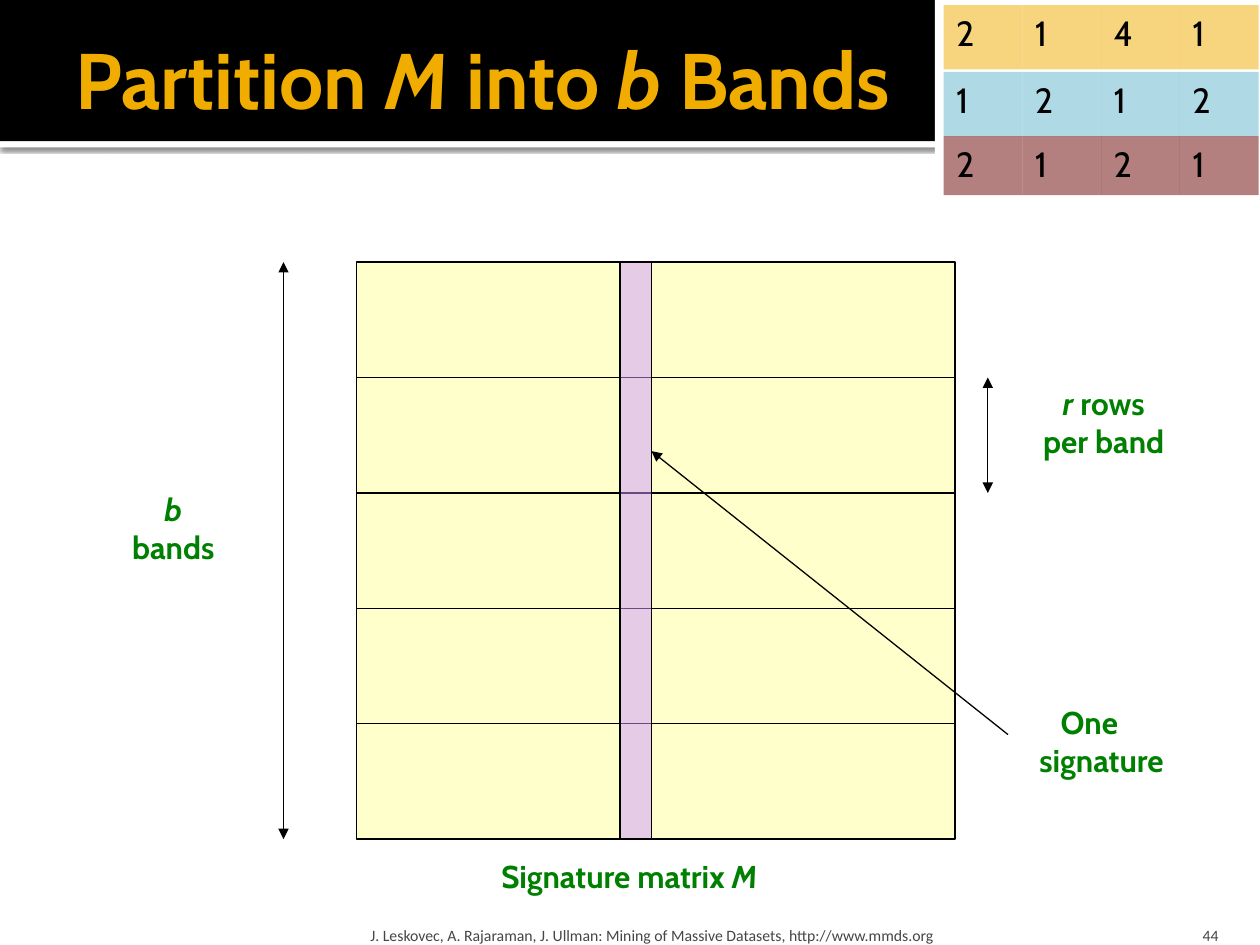
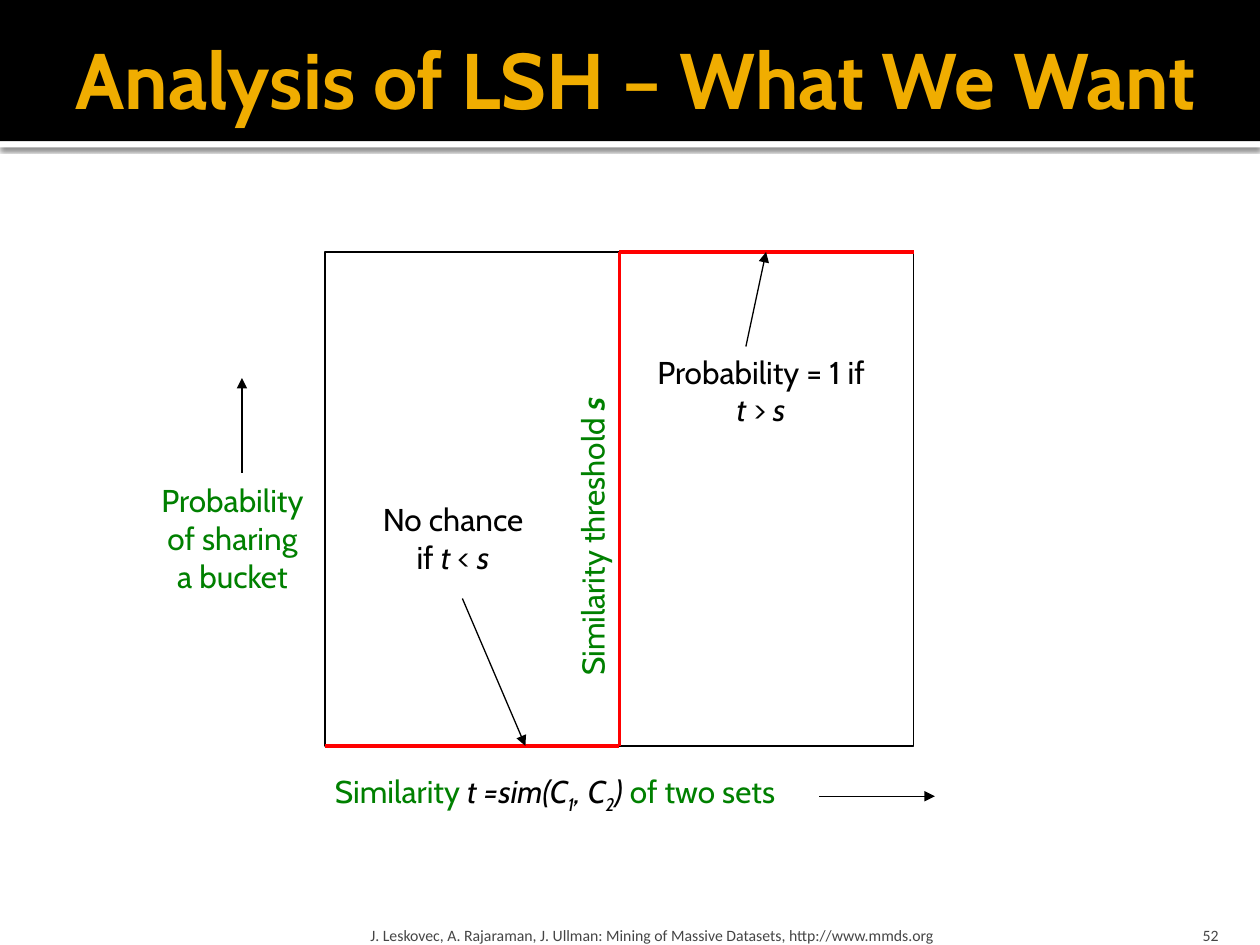
from pptx import Presentation
from pptx.dml.color import RGBColor
from pptx.enum.shapes import MSO_CONNECTOR, MSO_SHAPE
from pptx.enum.text import MSO_ANCHOR, MSO_AUTO_SIZE, PP_ALIGN
from pptx.oxml import parse_xml
from pptx.oxml.ns import nsdecls
from pptx.oxml.xmlchemy import OxmlElement
from pptx.util import Inches, Pt

COLORS = {
    "black": "000000", "white": "FFFFFF", "gold": "F0AD00",
    "green": "008000", "gray": "454545", "red": "FF0000",
    "yellow": "FFFF99", "purple": "CC99FF", "blue": "60B5CC",
    "maroon": "680000",
}
FONT = "Cabin"
CREDIT = ("J. Leskovec, A. Rajaraman, J. Ullman: "
          "Mining of Massive Datasets, http://www.mmds.org")
SHADOW = """<a:effectLst %s><a:outerShdw blurRad="31750" dist="10160" dir="5400000"
 algn="tl" rotWithShape="0"><a:srgbClr val="000000"><a:alpha val="60000"/></a:srgbClr>
</a:outerShdw></a:effectLst>""" % nsdecls("a")
ITALIC = {"italic": True}
LOWER = {"italic": True, "color": "black", "base": -25}


def rgb(name):
    return RGBColor.from_string(COLORS[name])


def inches(box):
    return [Inches(value) for value in box]


def write_run(para, text, size=18, color="black", font=FONT,
              bold=False, italic=False, base=0):
    run = para.add_run()
    run.text = text
    run.font.name, run.font.size = font, Pt(size)
    run.font.bold, run.font.italic = bold, italic
    run.font.color.rgb = rgb(color)
    if base:
        run._r.get_or_add_rPr().set("baseline", str(base * 1000))


def write(frame, paras, align=PP_ALIGN.LEFT, anchor=MSO_ANCHOR.TOP,
          wrap=True, inset=(0.1, 0.05, 0.1, 0.05), indent=0, **style):
    frame.auto_size = MSO_AUTO_SIZE.NONE
    frame.word_wrap = wrap
    frame.vertical_anchor = anchor
    (frame.margin_left, frame.margin_top,
     frame.margin_right, frame.margin_bottom) = inches(inset)
    for index, runs in enumerate(paras):
        para = frame.add_paragraph() if index else frame.paragraphs[0]
        para.alignment = align
        if indent and index == 0:
            para._p.get_or_add_pPr().set("marL", str(Inches(indent)))
        for part in runs:
            text, extra = (part, {}) if isinstance(part, str) else part
            write_run(para, text, **{**style, **extra})


def add_text(slide, box, *paras, turn=0, **style):
    label = slide.shapes.add_textbox(*inches(box))
    label.rotation = turn
    write(label.text_frame, paras, **style)


def add_label(slide, box, *paras, **style):
    add_text(slide, box, *paras,
             **{"align": PP_ALIGN.CENTER, "wrap": False, **style})


def add_rect(slide, box, fill=None, alpha=100, edge=None):
    rect = slide.shapes.add_shape(MSO_SHAPE.RECTANGLE, *inches(box))
    rect.shadow.inherit = False
    if fill:
        rect.fill.solid()
        rect.fill.fore_color.rgb = rgb(fill)
        if alpha < 100:
            clear = OxmlElement("a:alpha")
            clear.set("val", str(alpha * 1000))
            rect.fill._xPr.solidFill[0].append(clear)
    else:
        rect.fill.background()
    if edge:
        rect.line.color.rgb = rgb(edge)
        rect.line.width = Pt(0.75)
    else:
        rect.line.fill.background()
    return rect


def add_line(slide, start, end, color="black", width=0.75, heads=()):
    line = slide.shapes.add_connector(
        MSO_CONNECTOR.STRAIGHT, *inches(start + end))
    line.line.color.rgb = rgb(color)
    line.line.width = Pt(width)
    for side in heads:
        head = OxmlElement("a:" + side)
        head.set("type", "triangle")
        line.line._get_or_add_ln().append(head)
    line._element.spPr.append(OxmlElement("a:effectLst"))


def add_arrow(slide, start, end, double=False):
    heads = ("headEnd", "tailEnd") if double else ("tailEnd",)
    add_line(slide, start, end, heads=heads)


def add_page(deck, title, number, width):
    slide = deck.slides.add_slide(deck.slide_layouts[5])
    strip = add_rect(slide, (0, 1.12, 10, 0.05), "white")
    effect = strip._element.spPr.find("{*}effectLst")
    strip._element.spPr.replace(effect, parse_xml(SHADOW))
    add_rect(slide, (0, 0, 10, 1.12), "black")
    head = slide.shapes.title
    slide.shapes._spTree.append(head._element)
    head.left, head.top, head.width, head.height = inches((0.5, 0.08, width, 1.08))
    write(head.text_frame, [title], size=45, color="gold", bold=True,
          anchor=MSO_ANCHOR.MIDDLE, inset=(0.1, 0.05, 0.05, 0.05))
    small = {"size": 9, "font": "Calibri", "color": "gray",
             "anchor": MSO_ANCHOR.BOTTOM}
    add_text(slide, (2.89, 7.2, 6.02, 0.3), [CREDIT],
             inset=(0.05, 0.05, 0.05, 0), **small)
    add_text(slide, (8.97, 7.2, 0.8, 0.3), [str(number)],
             align=PP_ALIGN.RIGHT, inset=(0.1, 0.05, 0.1, 0), **small)
    return slide


def add_grid(slide):
    add_rect(slide, (7.42, 0, 2.58, 1.58), "white")
    rows = [("2141", "gold", 0.04, 0.51),
            ("1212", "blue", 0.57, 0.51),
            ("2121", "maroon", 1.08, 0.47)]
    pitch = 2.5 / 4
    for digits, color, top, height in rows:
        for col, digit in enumerate(digits):
            cell = add_rect(slide, (7.49 + col * pitch, top, pitch, height),
                            color, alpha=50)
            write(cell.text_frame, [[digit]], size=20)


def draw_bands(deck):
    slide = add_page(deck, ["Partition ", ("M", ITALIC), " into ",
                            ("b", ITALIC), " Bands"], 44, 9)
    left, top, width, height, count = 2.83, 2.08, 4.75, 4.58, 5
    right, step = left + width, height / count
    green = {"color": "green", "bold": True}
    add_rect(slide, (left, top, width, height), "yellow", 50, "black")
    for band in range(1, count):
        level = top + band * step
        add_line(slide, (left, level), (right, level))
    add_label(slide, (3.82, 6.75, 2.35, 0.4),
              ["Signature matrix ", ("M", ITALIC)], **green)
    add_label(slide, (8.18, 3, 1.16, 0.7),
              [("r", ITALIC), " rows"], ["per band"], **green)
    add_label(slide, (0.83, 3.84, 1.09, 0.7),
              [("b", ITALIC)], ["bands"], **green)
    add_arrow(slide, (7.84, top + step), (7.84, top + 2 * step), double=True)
    add_arrow(slide, (2.25, top), (2.25, top + height), double=True)
    add_rect(slide, (4.92, top, 0.25, height), "purple", 50, "black")
    add_arrow(slide, (8, 5.83), (5.17, 3.58))
    add_label(slide, (8.15, 5.53, 1.22, 0.7), ["One"], ["signature"],
              align=PP_ALIGN.LEFT, indent=0.17, **green)
    add_grid(slide)


def draw_goal(deck):
    slide = add_page(deck, ["Analysis of LSH – What We Want"], 52, 9.33)
    left, top, width, height = 2.58, 2, 4.67, 3.92
    right, base, middle = left + width, top + height, left + width / 2
    add_rect(slide, (left, top, width, height), edge="black")
    formula = {"italic": True, "color": "black"}
    add_label(slide, (2.03, 6.08, 4.75, 0.4),
              ["Similarity ", ("t =sim(C", formula), ("1", LOWER),
               (", C", formula), ("2", LOWER), (") ", formula),
               "of two sets"], wrap=True, color="green")
    add_label(slide, (1.17, 3.77, 1.35, 1), ["Probability"],
              ["of sharing"], ["a bucket"], color="green")
    add_label(slide, (3.44, 4.06, 2.52, 0.4),
              ["Similarity threshold ", ("s", {"bold": True, "italic": True})],
              turn=270, color="green")
    corners = [(left, base), (middle, base), (middle, top), (right, top)]
    for start, end in zip(corners, corners[1:]):
        add_line(slide, start, end, "red", 2)
    add_label(slide, (2.92, 3.92, 1.35, 0.7), ["No chance"],
              ["if ", ("t ", ITALIC), "< ", ("s", ITALIC)])
    add_label(slide, (5.08, 2.75, 1.92, 0.7),
              ["Probability = 1 if ", ("t ", ITALIC), "> ", ("s", ITALIC)],
              wrap=True)
    for start, end in [((6.5, 6.32), (7.42, 6.32)),
                       ((1.92, 3.75), (1.92, 3)),
                       ((3.67, 4.75), (4.17, base)),
                       ((5.92, 2.75), (6.08, top))]:
        add_arrow(slide, start, end)


def main():
    deck = Presentation()
    deck.slide_width, deck.slide_height = Inches(10), Inches(7.5)
    draw_bands(deck)
    draw_goal(deck)
    deck.save("out.pptx")


if __name__ == "__main__":
    main()
